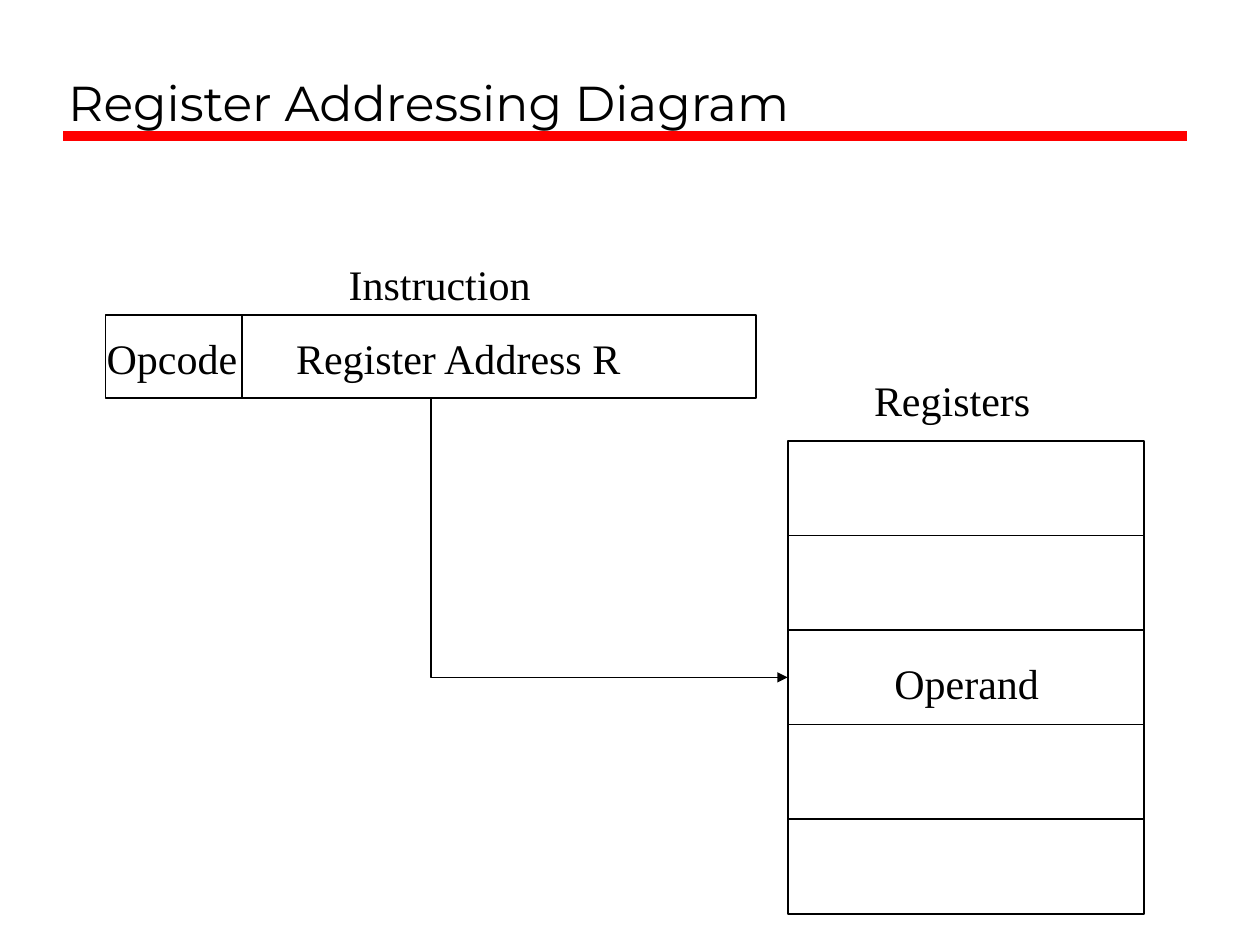
from lxml.etree import SubElement
from pptx import Presentation
from pptx.dml.color import RGBColor
from pptx.enum.shapes import MSO_CONNECTOR as CONN, MSO_SHAPE as SHAPE
from pptx.enum.text import MSO_ANCHOR as ANCHOR, MSO_AUTO_SIZE as FIT, PP_ALIGN as ALIGN
from pptx.oxml.ns import qn
from pptx.util import Cm, Pt

BLACK = RGBColor(0, 0, 0)
RED = RGBColor(255, 0, 0)

TITLE = "Register Addressing Diagram"
TITLE_BOX = (1.12, 0.43, 22.78, 2.34)
TITLE_RULE = (1.27, 2.74, 23.93, 2.74)
LABELS = [
    ("Register Address R", 5.72, 6.58, 7.09),
    ("Opcode", 1.9, 6.58, 3.15),
    ("Instruction", 6.78, 5.08, 4.17),
    ("Registers", 17.37, 7.42, 3.66),
    ("Operand", 17.78, 13.13, 3.43),
]
LABEL_H = 1.27
INSTRUCTION = (2.13, 6.35, 13.11, 1.68)
DIVIDER_X = 4.88
REGISTERS = (15.88, 8.89, 7.19, 9.53)
REGISTER_COUNT = 5
OPERAND_INDEX = 2
ARROW_X = 8.69

TITLE_FONT = {"name": "Montserrat", "size": Pt(28), "bold": False}
LABEL_FONT = {"name": "Times New Roman", "size": Pt(24)}


def lengths(values):
    return [Cm(v) for v in values]


def style_line(sp, color=BLACK, width=1):
    sp.line.color.rgb = color
    sp.line.width = Pt(width)


def write(tf, text, font):
    p = tf.paragraphs[0]
    p.alignment = ALIGN.LEFT
    r = p.add_run()
    r.text = text
    for name, value in font.items():
        setattr(r.font, name, value)
    r.font.color.rgb = BLACK


def add_box(shapes, box):
    sp = shapes.add_shape(SHAPE.RECTANGLE, *lengths(box))
    sp.shadow.inherit = False
    sp.fill.background()
    style_line(sp)


def add_line(shapes, ends, color=BLACK, width=1):
    sp = shapes.add_connector(CONN.STRAIGHT, *lengths(ends))
    style_line(sp, color, width)
    SubElement(sp._element.spPr, qn("a:effectLst"))


def add_label(shapes, text, x, y, w):
    tf = shapes.add_textbox(*lengths((x, y, w, LABEL_H))).text_frame
    tf.word_wrap = False
    tf.auto_size = FIT.SHAPE_TO_FIT_TEXT
    write(tf, text, LABEL_FONT)


def add_arrow(shapes, points):
    start, *rest = [lengths(pt) for pt in points]
    builder = shapes.build_freeform(*start)
    builder.add_line_segments(rest, close=False)
    sp = builder.convert_to_shape()
    sp.shadow.inherit = False
    sp.fill.background()
    style_line(sp)
    SubElement(sp.line._get_or_add_ln(), qn("a:tailEnd"), type="triangle")


def main():
    prs = Presentation()
    prs.slide_width, prs.slide_height = Cm(25.4), Cm(19.05)
    s = prs.slides.add_slide(prs.slide_layouts[5])
    shapes = s.shapes

    title = shapes.title
    title.left, title.top, title.width, title.height = lengths(TITLE_BOX)
    tf = title.text_frame
    tf.vertical_anchor = ANCHOR.BOTTOM
    tf.auto_size = FIT.NONE
    write(tf, TITLE, TITLE_FONT)
    add_line(shapes, TITLE_RULE, RED, 6)

    instruction = shapes.add_group_shape().shapes
    add_box(instruction, INSTRUCTION)
    top = INSTRUCTION[1]
    bottom = top + INSTRUCTION[3]
    add_line(instruction, (DIVIDER_X, top, DIVIDER_X, bottom))

    x, y, w, h = REGISTERS
    step = h / REGISTER_COUNT
    for i in range(REGISTER_COUNT):
        add_box(shapes, (x, y + i * step, w, step))

    for label in LABELS:
        add_label(shapes, *label)

    operand_y = y + (OPERAND_INDEX + 0.5) * step
    add_arrow(shapes, [(ARROW_X, bottom), (ARROW_X, operand_y), (x, operand_y)])

    prs.save("out.pptx")


if __name__ == "__main__":
    main()
